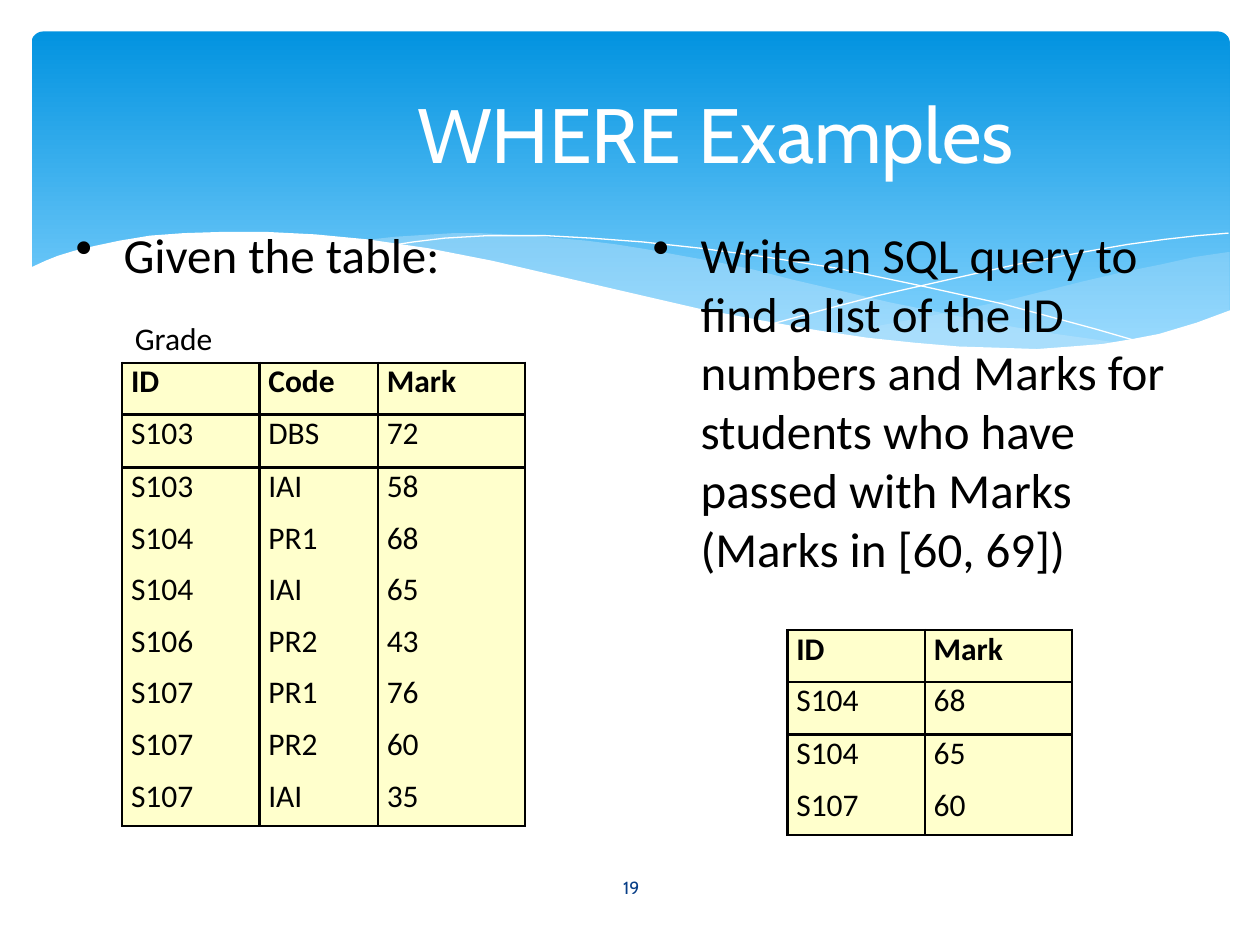
"""Builds the WHERE Examples slide with its wave banner and two grade tables."""
from dataclasses import dataclass

from lxml.etree import SubElement
from pptx import Presentation
from pptx.dml.color import RGBColor as RGB
from pptx.enum.shapes import MSO_SHAPE as SHAPE
from pptx.enum.text import MSO_ANCHOR as ANCHOR, PP_ALIGN as ALIGN
from pptx.oxml import parse_xml
from pptx.oxml.ns import nsdecls, qn
from pptx.util import Inches, Pt


@dataclass(frozen=True)
class Theme:
    ink: str = "000000"
    white: str = "FFFFFF"
    number: str = "073E87"
    sky: str = "0293E0"
    sky_light: str = "83D3FE"
    wave: str = "C6E7FC"
    cell: str = "FFFFCC"
    heading_font: str = "Cabin"
    body_font: str = "Calibri"
    title_size: float = 44
    body_size: float = 28
    table_size: float = 18
    number_size: float = 10
    rule: float = 1.5


theme = Theme()


def write(para, text, size, font=theme.body_font, color=theme.ink, bold=False,
          align=ALIGN.LEFT, before=0, indent=0, hang=0, bullet=None):
    span = para.add_run()
    span.text = text
    span.font.size, span.font.name, span.font.bold = Pt(size), font, bold
    span.font.color.rgb = RGB.from_string(color)
    para.alignment = align
    para.space_before = Pt(before)
    props = para._p.get_or_add_pPr()
    props.set("marL", str(Inches(indent)))
    props.set("indent", str(Inches(-hang)))
    if bullet:
        SubElement(props, qn("a:buChar")).set("char", bullet)


def prepare(box, left, top, width, height, anchor=ANCHOR.TOP):
    box.left, box.top = Inches(left), Inches(top)
    box.width, box.height = Inches(width), Inches(height)
    frame = box.text_frame
    frame.margin_left = frame.margin_right = frame.margin_top = frame.margin_bottom = 0
    frame.word_wrap = True
    frame.vertical_anchor = anchor
    return frame


deck = Presentation()
deck.slide_width, deck.slide_height = Inches(10), Inches(7.5)
page = deck.slides.add_slide(deck.slide_layouts[5])
shapes = page.shapes

banner = shapes.add_shape(SHAPE.ROUNDED_RECTANGLE, Inches(0.25), Inches(0.25),
                          Inches(9.51), Inches(2.7))
banner.adjustments[0] = 0.034
banner.shadow.inherit = False
banner.line.fill.background()
banner.fill.gradient()
banner.fill.gradient_angle = 270
for stop, color, position in zip(banner.fill.gradient_stops,
                                 (theme.sky, theme.sky_light), (0, 0.9)):
    stop.color.rgb = RGB.from_string(color)
    stop.position = position

right_wave = [
    (975, 200), (948, 204), (921, 210), (891, 216), (861, 223), (805, 237), (753, 248),
    (706, 257), (661, 265), (691, 269), (719, 272), (745, 275), (769, 277), (803, 278),
    (835, 277), (863, 275), (889, 272), (913, 267), (935, 262), (949, 257), (963, 252),
    (976, 247), (976, 200)]
middle_wave = [
    (893, 273), (866, 269), (837, 265), (807, 260), (775, 254), (741, 247), (706, 240),
    (668, 231), (629, 222), (598, 214), (569, 208), (541, 203), (514, 198), (489, 194),
    (465, 191), (442, 189), (420, 187), (399, 186), (380, 185), (361, 185), (344, 186),
    (313, 188), (286, 191), (323, 196), (362, 203), (404, 211), (449, 222), (491, 232),
    (530, 240), (566, 248), (601, 255), (634, 261), (665, 266), (695, 270), (722, 274),
    (748, 276), (773, 277), (796, 278), (828, 278), (857, 277), (876, 275)]
falling_line = [
    (309, 195), (328, 192), (353, 189), (387, 187), (433, 187), (469, 189), (510, 192),
    (556, 197), (608, 204), (665, 213), (727, 226), (795, 241), (869, 261), (907, 272)]
rising_line = [
    (613, 257), (653, 246), (695, 235), (748, 223), (806, 210), (866, 199), (895, 194),
    (924, 190), (951, 187), (975, 185)]
white_wave = [
    (977, 246), (950, 256), (920, 265), (899, 269), (875, 273), (850, 275), (823, 277),
    (793, 276), (761, 275), (726, 272), (688, 268), (648, 262), (603, 254), (555, 245),
    (503, 233), (447, 220), (391, 207), (340, 197), (292, 190), (250, 186), (211, 184),
    (177, 184), (146, 185), (119, 187), (95, 191), (76, 195), (59, 199), (46, 203),
    (36, 207), (23, 213), (23, 329), (977, 329)]

waves = [(right_wave, theme.wave, 29), (middle_wave, theme.wave, 40),
         (falling_line, None, 100), (rising_line, None, 100),
         (white_wave, theme.white, 100)]
for points, color, opacity in waves:
    builder = shapes.build_freeform(*points[0], scale=Inches(0.01))
    builder.add_line_segments(points[1:], close=color is not None)
    wave = builder.convert_to_shape()
    wave.shadow.inherit = False
    if color:
        wave.line.fill.background()
        wave.fill.solid()
        wave.fill.fore_color.rgb = RGB.from_string(color)
        tint = wave.element.spPr.find(f"{qn('a:solidFill')}/{qn('a:srgbClr')}")
        SubElement(tint, qn("a:alpha")).set("val", str(opacity * 1000))
    else:
        wave.fill.background()
        wave.line.color.rgb = RGB.from_string(theme.white)
        wave.line.width = Pt(0)

title = shapes.title
shapes.element.append(title.element)
heading = prepare(title, 0.5, 0.37, 9, 1.37, ANCHOR.MIDDLE)
write(heading.paragraphs[0], "WHERE Examples", theme.title_size, font=theme.heading_font,
      color=theme.white, align=ALIGN.CENTER, indent=1.36)

number = prepare(shapes.add_textbox(0, 0, 0, 0), 4.36, 6.84, 1.27, 0.4, ANCHOR.MIDDLE)
write(number.paragraphs[0], "19", theme.number_size, font=theme.heading_font,
      color=theme.number, align=ALIGN.CENTER, indent=0.03)

task = prepare(shapes.add_textbox(0, 0, 0, 0), 5.17, 1.78, 4.09, 2.83)
write(task.paragraphs[0], "Write an SQL query to find a list of the ID numbers and Marks for "
      "students who have passed with Marks (Marks in [60, 69])",
      theme.body_size, indent=0.39, hang=0.38, bullet="•")

given = prepare(shapes.add_textbox(0, 0, 0, 0), 0.59, 1.78, 2.91, 1.08)
write(given.paragraphs[0], "Given the table:", theme.body_size,
      indent=0.39, hang=0.38, bullet="•")
write(given.add_paragraph(), "Grade", theme.table_size, before=20.3, indent=0.48)

grades = [("ID", "Code", "Mark"), ("S103", "DBS", "72"), ("S103", "IAI", "58"),
          ("S104", "PR1", "68"), ("S104", "IAI", "65"), ("S106", "PR2", "43"),
          ("S107", "PR1", "76"), ("S107", "PR2", "60"), ("S107", "IAI", "35")]
passes = [("ID", "Mark"), ("S104", "68"), ("S104", "65"), ("S107", "60")]

for records, left, top, widths in [(grades, 0.97, 2.88, (1.09, 0.94, 1.17)),
                                   (passes, 6.25, 5, (1.09, 1.17))]:
    last = len(records) - 1
    heights = [0.41, 0.42] + [0.41] * (last - 2) + [0.39]
    table = shapes.add_table(len(records), len(widths), Inches(left), Inches(top),
                             Inches(sum(widths)), Inches(sum(heights))).table
    for column, width in zip(table.columns, widths):
        column.width = Inches(width)
    for index, (row, height, record) in enumerate(zip(table.rows, heights, records)):
        row.height = Inches(height)
        ruled = {"L": True, "R": True, "T": index <= 2, "B": index in (0, 1, last)}
        for cell, value in zip(row.cells, record):
            cell.margin_left = cell.margin_right = cell.margin_top = cell.margin_bottom = 0
            cell.fill.solid()
            cell.fill.fore_color.rgb = RGB.from_string(theme.cell)
            write(cell.text_frame.paragraphs[0], value, theme.table_size, bold=index == 0,
                  before=1.7 if index < 2 else 1.1, indent=0.07)
            for place, (side, drawn) in enumerate(ruled.items()):
                paint = (f'<a:solidFill><a:srgbClr val="{theme.ink}"/></a:solidFill>'
                         if drawn else "<a:noFill/>")
                edge = parse_xml(f'<a:ln{side} {nsdecls("a")} w="{Pt(theme.rule)}">'
                                 f"{paint}</a:ln{side}>")
                cell._tc.get_or_add_tcPr().insert(place, edge)

deck.save("out.pptx")
